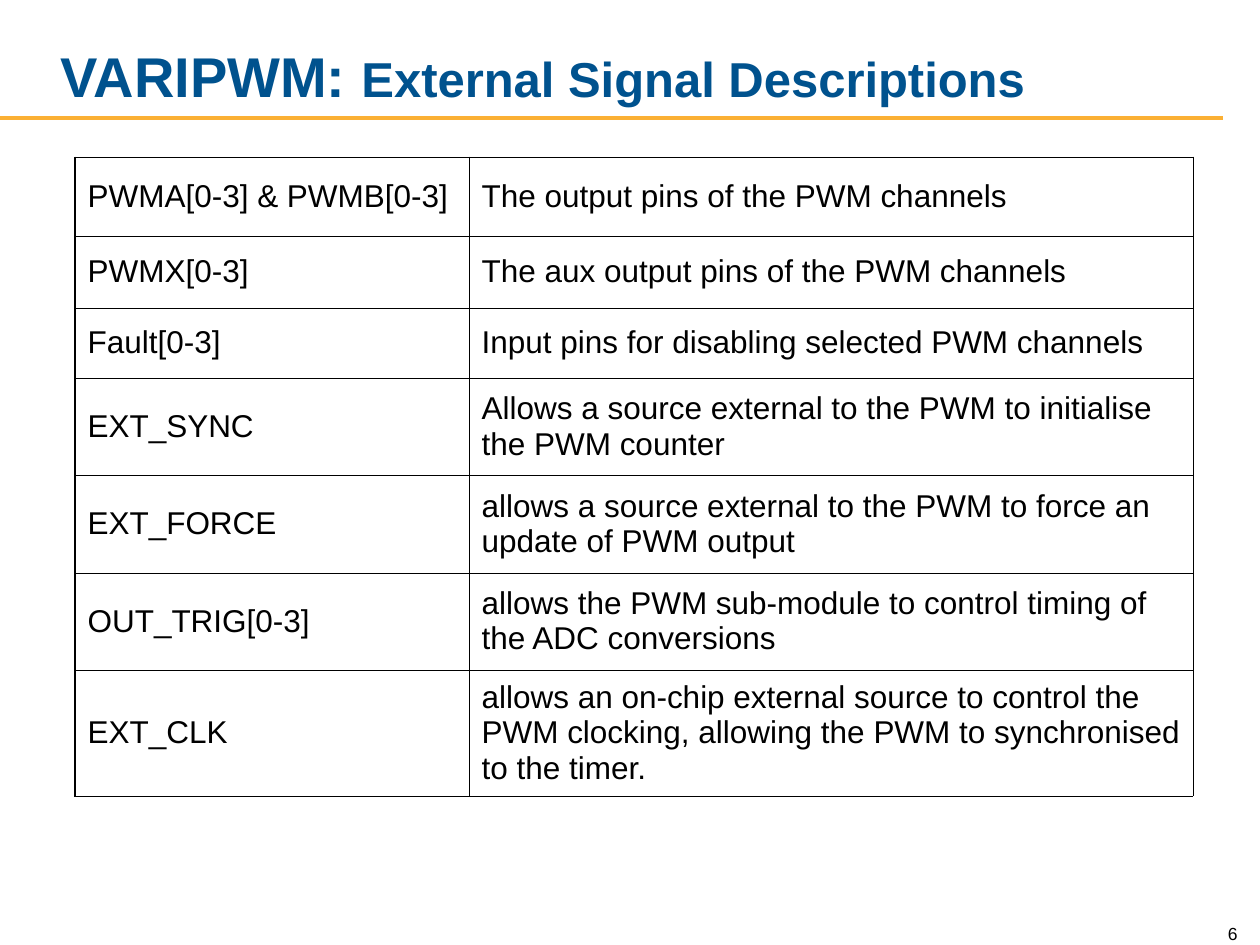
from dataclasses import dataclass

from lxml.etree import SubElement
from pptx import Presentation
from pptx.dml.color import RGBColor
from pptx.enum.shapes import MSO_CONNECTOR as Connector
from pptx.enum.text import MSO_ANCHOR as Anchor, PP_ALIGN as Align
from pptx.oxml.ns import qn
from pptx.util import Emu, Pt

COLORS = {"title": "00528E", "rule": "FBB034", "ink": "000000"}
FONT = "Arial"
PX_PER_INCH = 126
LEFT_EDGE_LINE, GRID_LINE = 1.08, 0.45


@dataclass(frozen=True)
class Run:
    text: str
    size: int
    color: str = "ink"
    bold: bool = False


@dataclass(frozen=True)
class TextBlock:
    left: int
    top: int
    width: int
    height: int
    align: Align
    runs: tuple[Run, ...]


@dataclass(frozen=True)
class Signal:
    name: str
    description: str
    height: int


TITLE = TextBlock(48, 20, 1159, 95, Align.LEFT, (
    Run("VARIPWM: ", 32, "title", True),
    Run("External Signal Descriptions", 28, "title", True),
))
PAGE_NUMBER = TextBlock(1187, 912, 63, 38, Align.RIGHT, (Run("6", 10),))
COLUMN_WIDTHS = (394, 724)
SIGNALS = (
    Signal("PWMA[0-3] & PWMB[0-3]", "The output pins of the PWM channels", 79),
    Signal("PWMX[0-3]", "The aux output pins of the PWM channels", 72),
    Signal("Fault[0-3]", "Input pins for disabling selected PWM channels", 70),
    Signal("EXT_SYNC", "Allows a source external to the PWM to initialise the PWM counter", 97),
    Signal("EXT_FORCE", "allows a source external to the PWM to force an update of PWM output", 98),
    Signal("OUT_TRIG[0-3]", "allows the PWM sub-module to control timing of the ADC conversions", 97),
    Signal("EXT_CLK", "allows an on-chip external source to control the PWM clocking, "
           "allowing the PWM to synchronised to the timer.", 126),
)


def px(length: int) -> Emu:
    return Emu(length * 914400 // PX_PER_INCH)


def add_run(para, run: Run) -> None:
    span = para.add_run()
    span.text = run.text
    span.font.name = FONT
    span.font.size = Pt(run.size)
    span.font.bold = run.bold
    span.font.color.rgb = RGBColor.from_string(COLORS[run.color])


def add_text(page, block: TextBlock) -> None:
    box = page.shapes.add_textbox(px(block.left), px(block.top), px(block.width), px(block.height))
    frame = box.text_frame
    frame.word_wrap = True
    frame.vertical_anchor = Anchor.BOTTOM
    para = frame.paragraphs[0]
    para.alignment = block.align
    for run in block.runs:
        add_run(para, run)


def add_rule(page, right: int, top: int) -> None:
    rule = page.shapes.add_connector(Connector.STRAIGHT, 0, px(top), px(right), px(top))
    rule.line.color.rgb = RGBColor.from_string(COLORS["rule"])
    rule.line.width = Pt(2.25)
    SubElement(rule._element.spPr, qn("a:effectLst"))


def set_borders(cell, at_left_edge: bool) -> None:
    properties = cell._tc.get_or_add_tcPr()
    for position, side in enumerate("LRTB"):
        width = Pt(LEFT_EDGE_LINE if side == "L" and at_left_edge else GRID_LINE)
        border = SubElement(properties, qn(f"a:ln{side}"), w=str(int(width)))
        fill = SubElement(border, qn("a:solidFill"))
        SubElement(fill, qn("a:srgbClr"), val=COLORS["ink"])
        properties.insert(position, border)


def fill_cell(cell, text: str) -> None:
    cell.fill.background()
    cell.vertical_anchor = Anchor.MIDDLE
    para = cell.text_frame.paragraphs[0]
    para.space_before = Pt(4.5)
    add_run(para, Run(text, 18))


def add_signal_table(page, left: int, top: int) -> None:
    height = sum(signal.height for signal in SIGNALS)
    table = page.shapes.add_table(len(SIGNALS), len(COLUMN_WIDTHS), px(left), px(top),
                                  px(sum(COLUMN_WIDTHS)), px(height)).table
    table.first_row = table.horz_banding = False
    for column, width in zip(table.columns, COLUMN_WIDTHS):
        column.width = px(width)
    for row, signal in enumerate(SIGNALS):
        table.rows[row].height = px(signal.height)
        for column, text in enumerate((signal.name, signal.description)):
            cell = table.cell(row, column)
            fill_cell(cell, text)
            set_borders(cell, column == 0)


def main() -> None:
    """Build the slide of external signal descriptions."""
    deck = Presentation()
    deck.slide_width, deck.slide_height = px(1260), px(945)
    page = deck.slides.add_slide(deck.slide_layouts[6])
    add_rule(page, 1223, 118)
    add_text(page, PAGE_NUMBER)
    add_text(page, TITLE)
    add_signal_table(page, 75, 157)
    deck.save("out.pptx")


if __name__ == "__main__":
    main()
